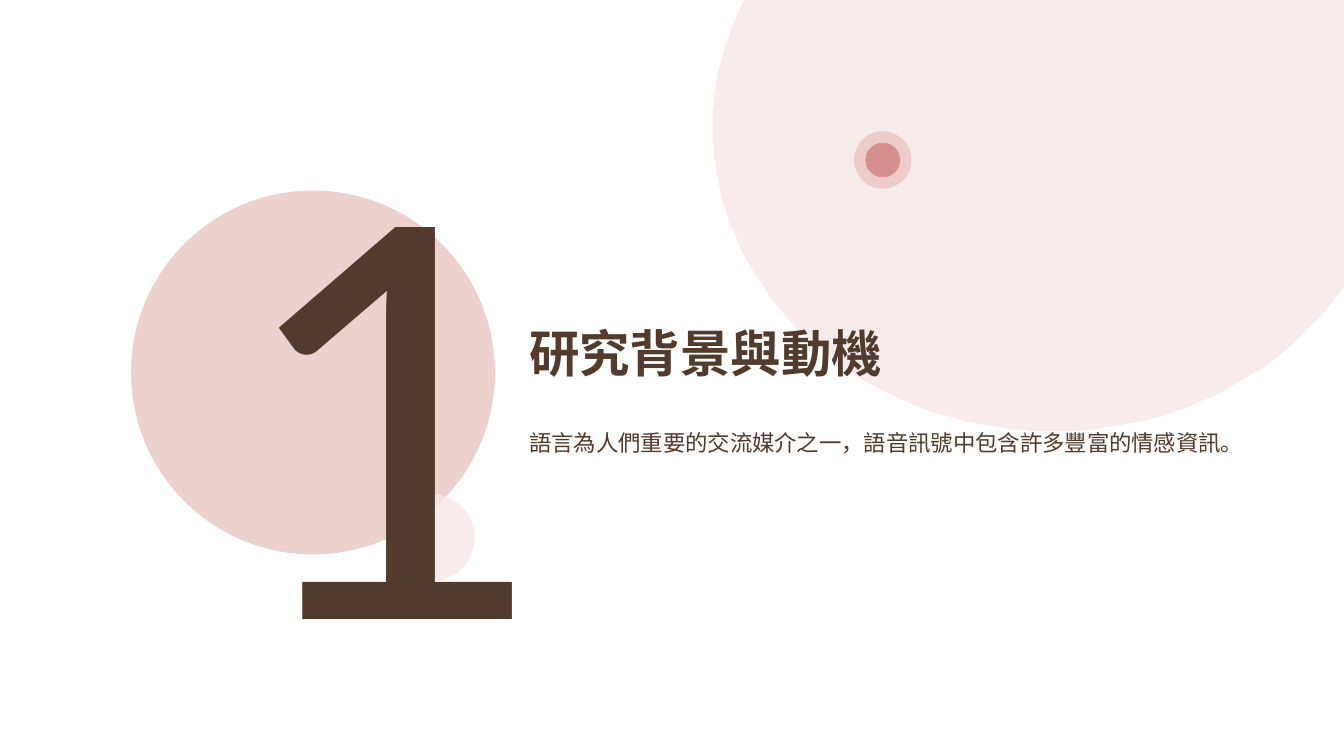
from math import acos, asin, cos, pi, sin

from lxml.etree import SubElement
from pptx import Presentation
from pptx.dml.color import RGBColor
from pptx.enum.shapes import MSO_SHAPE
from pptx.enum.text import MSO_ANCHOR, MSO_AUTO_SIZE, PP_ALIGN
from pptx.oxml.ns import qn
from pptx.util import Pt

COLORS = {"brown": "523A2C", "rose": "EDD1CF", "blush": "F6E8E7",
          "halo": "ECCBCA", "dot": "D78F8D"}
WIDTH, HEIGHT = 960, 540


def paint(sp, color, alpha=None):
    """Give a shape a plain fill, optionally translucent (percent opaque)."""
    sp.shadow.inherit = False
    sp.line.fill.background()
    sp.fill.solid()
    sp.fill.fore_color.rgb = RGBColor.from_string(COLORS[color])
    if alpha:
        rgb = sp.element.spPr.find(qn("a:solidFill")).find(qn("a:srgbClr"))
        SubElement(rgb, qn("a:alpha")).set("val", str(alpha * 1000))


def write(sp, text, box, size, font="Calibri", bold=False, wrap=True,
          align=PP_ALIGN.LEFT, anchor=MSO_ANCHOR.TOP):
    """Place a text shape and fill it with one formatted paragraph."""
    sp.left, sp.top, sp.width, sp.height = [Pt(v) for v in box]
    tf = sp.text_frame
    tf.word_wrap = wrap
    tf.auto_size = MSO_AUTO_SIZE.NONE
    tf.vertical_anchor = anchor
    p = tf.paragraphs[0]
    p.alignment = align
    p.space_before = Pt(0)
    r = p.add_run()
    r.text = text
    r.font.name, r.font.size, r.font.bold = font, Pt(size), bold
    r.font.color.rgb = RGBColor.from_string(COLORS["brown"])


prs = Presentation()
prs.slide_width, prs.slide_height = Pt(WIDTH), Pt(HEIGHT)
s = prs.slides.add_slide(prs.slide_layouts.get_by_name("Section Header"))
title, body = s.placeholders

# Circles behind the section number
for x, y, d, color, alpha in [(93.6, 136.1, 260, "rose", None),
                              (276.5, 352.8, 62.6, "blush", 80)]:
    sp = s.shapes.add_shape(MSO_SHAPE.OVAL, Pt(x), Pt(y), Pt(d), Pt(d))
    paint(sp, color, alpha)

# Section number
number = s.shapes.add_textbox(0, 0, 0, 0)
write(number, "1", (160.6, 162.7, 74.9, 247), 390, font="Lato",
      align=PP_ALIGN.CENTER, anchor=MSO_ANCHOR.MIDDLE)

# Large ellipse, cut off by the top and right edges of the slide
cx, cy, rx, ry = 752.4, 91.4, 243.4, 216.8
start = acos((WIDTH - cx) / rx)
end = pi + asin(cy / ry)
steps = 120
angles = [start + (end - start) * i / steps for i in range(steps + 1)]
arc = [(cx + rx * cos(a), cy + ry * sin(a)) for a in angles]
fb = s.shapes.build_freeform(WIDTH, 0, scale=Pt(1))
fb.add_line_segments(arc, close=True)
paint(fb.convert_to_shape(), "blush", 80)

# Title and body stand in front of the ellipse
s.shapes.element.append(title.element)
s.shapes.element.append(body.element)
write(title, "研究背景與動機", (370.8, 226.8, 275.8, 51.1), 36, bold=True, wrap=False)
write(body, "語言為人們重要的交流媒介之一，語音訊號中包含許多豐富的情感資訊。",
      (370.8, 303.1, 549.4, 26.6), 16)

# Dot with halo
group = s.shapes.add_group_shape()
for d, color in [(41, "halo"), (24.8, "dot")]:
    sp = group.shapes.add_shape(MSO_SHAPE.OVAL, Pt(630.6 - d / 2),
                                Pt(114.3 - d / 2), Pt(d), Pt(d))
    paint(sp, color)

prs.save("out.pptx")
